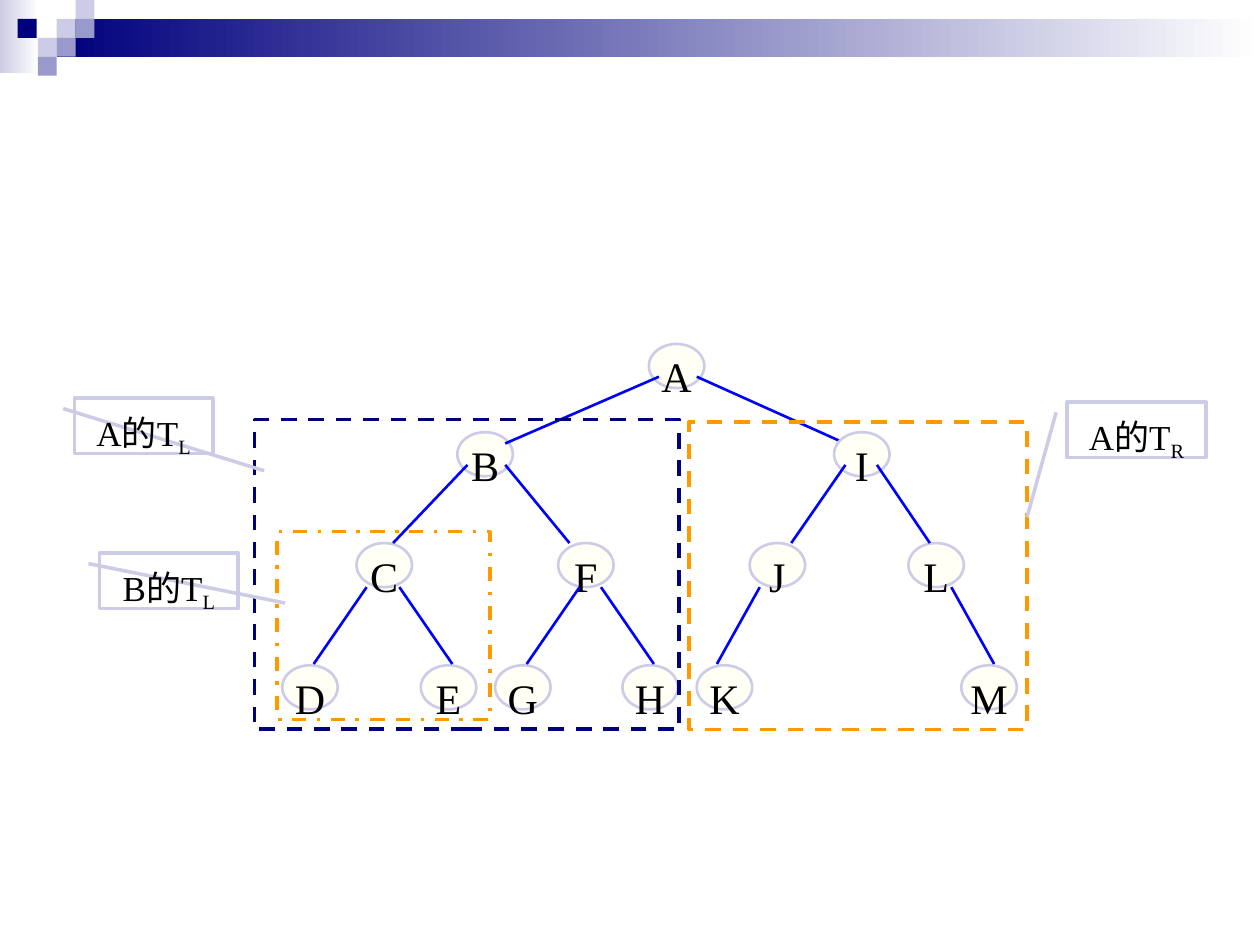
from typing import NamedTuple

from lxml import etree
from pptx import Presentation
from pptx import util as u
from pptx.dml.color import RGBColor
from pptx.enum import dml, shapes, text
from pptx.oxml.ns import qn

PX = 9144  # EMU per px, 100 px to the inch
FONT = "Times New Roman"
NAVY, LILAC, VIOLET = "00007D", "CCCCE6", "9999CC"
CREAM, BLUE, ORANGE = "FFFFF5", "0000FF", "FF9900"
BLACK, WHITE = "000000", "FFFFFF"
DASH = dml.MSO_LINE.DASH
DASH_DOT = dml.MSO_LINE.DASH_DOT


class Box(NamedTuple):
    left: int
    top: int
    width: int
    height: int


class Node(NamedTuple):
    name: str
    left: int
    level: int


class Edge(NamedTuple):
    x1: int
    x2: int
    level: int  # level of the parent node


class Subtree(NamedTuple):
    frame: Box
    color: str
    width: float
    dash: dml.MSO_LINE
    label: Box
    owner: str
    side: str
    pointer: tuple  # end of the callout line as (y, x) shares of the label


LEVEL_TOPS = [273, 343, 431, 528]
EDGE_SPANS = [(299, 352), (369, 431), (466, 527)]

LEFT_NODES = [Node("A", 515, 0), Node("B", 363, 1), Node("C", 283, 2),
              Node("F", 443, 2), Node("D", 224, 3), Node("E", 334, 3),
              Node("G", 393, 3), Node("H", 494, 3)]
LEFT_EDGES = [Edge(523, 401, 0), Edge(553, 671, 0), Edge(371, 312, 1),
              Edge(401, 452, 1), Edge(291, 249, 2), Edge(317, 359, 2),
              Edge(460, 418, 2), Edge(477, 519, 2)]
RIGHT_NODES = [Node("I", 662, 1), Node("J", 595, 2), Node("L", 721, 2),
               Node("K", 553, 3), Node("M", 763, 3)]
RIGHT_EDGES = [Edge(671, 628, 1), Edge(696, 738, 1),
               Edge(603, 569, 2), Edge(755, 789, 2)]

SUBTREES = [
    Subtree(Box(202, 333, 337, 246), NAVY, 2.25, DASH,
            Box(59, 316, 110, 44), "A", "L", (1.31, 1.37)),
    Subtree(Box(220, 422, 169, 149), ORANGE, 2, DASH_DOT,
            Box(79, 439, 110, 44), "B", "L", (0.9, 1.34)),
    Subtree(Box(547, 335, 268, 244), ORANGE, 2.25, DASH,
            Box(847, 319, 110, 44), "A", "R", (2.08, -0.29)),
]

# Corner squares of the header, in drawing order
SQUARES = [(45, 15, LILAC), (60, 0, LILAC), (60, 15, VIOLET), (30, 30, LILAC),
           (14, 15, NAVY), (45, 30, VIOLET), (30, 45, VIOLET)]


def rgb(value: str) -> RGBColor:
    return RGBColor.from_string(value)


def add_shape(page, kind, box: Box, fill: str = "", line: str = "", width: float = 0):
    shape = page.shapes.add_shape(kind, *(n * PX for n in box))
    shape.shadow.inherit = False
    if fill:
        shape.fill.solid()
        shape.fill.fore_color.rgb = rgb(fill)
    else:
        shape.fill.background()
    if line:
        shape.line.color.rgb = rgb(line)
        shape.line.width = u.Pt(width)
    else:
        shape.line.fill.background()
    return shape


def add_gradient(page, box: Box, start: str) -> None:
    bar = add_shape(page, shapes.MSO_SHAPE.RECTANGLE, box)
    bar.fill.gradient()
    bar.fill.gradient_angle = 0
    for stop, color in zip(bar.fill.gradient_stops, (start, WHITE)):
        stop.color.rgb = rgb(color)


def write(shape, words: str, size: int, top: int, wrap: bool, subscript: str = "") -> None:
    frame = shape.text_frame
    frame.word_wrap = wrap
    frame.vertical_anchor = text.MSO_ANCHOR.MIDDLE
    frame.margin_top = top * PX
    para = frame.paragraphs[0]
    para.alignment = text.PP_ALIGN.CENTER
    para.line_spacing = 1.2
    for part in filter(None, (words, subscript)):
        span = para.add_run()
        span.text = part
        span.font.name = FONT
        span.font.size = u.Pt(size)
        span.font.color.rgb = rgb(BLACK)
        if part is subscript:
            span.font._element.set("baseline", "-25000")


def add_node(page, node: Node) -> None:
    box = Box(node.left, LEVEL_TOPS[node.level], 44, 35)
    oval = add_shape(page, shapes.MSO_SHAPE.OVAL, box, CREAM, LILAC, 1.5)
    write(oval, node.name, 24, 13, False)


def add_edge(page, edge: Edge) -> None:
    y1, y2 = EDGE_SPANS[edge.level]
    line = page.shapes.add_connector(
        shapes.MSO_CONNECTOR.STRAIGHT, edge.x1 * PX, y1 * PX, edge.x2 * PX, y2 * PX)
    line.line.color.rgb = rgb(BLUE)
    line.line.width = u.Pt(1.5)
    etree.SubElement(line._element.spPr, qn("a:effectLst"))


def add_subtree(page, tree: Subtree) -> None:
    frame = add_shape(page, shapes.MSO_SHAPE.RECTANGLE, tree.frame,
                      line=tree.color, width=tree.width)
    frame.line.dash_style = tree.dash
    label = add_shape(page, shapes.MSO_SHAPE.LINE_CALLOUT_1, tree.label,
                      line=LILAC, width=2)
    for index, share in enumerate((0.19, -0.08, *tree.pointer)):
        label.adjustments[index] = share
    write(label, f"{tree.owner}的T", 20, 12, True, tree.side)


def main() -> None:
    deck = Presentation()
    deck.slide_width, deck.slide_height = 1000 * PX, 750 * PX
    page = deck.slides.add_slide(deck.slide_layouts[6])

    # Header band
    add_gradient(page, Box(0, 0, 31, 58), LILAC)
    add_gradient(page, Box(45, 15, 955, 30), NAVY)
    for left, top, color in SQUARES:
        add_shape(page, shapes.MSO_SHAPE.RECTANGLE, Box(left, top, 15, 15), color)

    # Binary tree, left half with the root first
    for nodes, edges in ((LEFT_NODES, LEFT_EDGES), (RIGHT_NODES, RIGHT_EDGES)):
        for node in nodes:
            add_node(page, node)
        for edge in edges:
            add_edge(page, edge)

    # Subtree frames with their labels
    for tree in SUBTREES:
        add_subtree(page, tree)

    deck.save("out.pptx")


if __name__ == "__main__":
    main()
